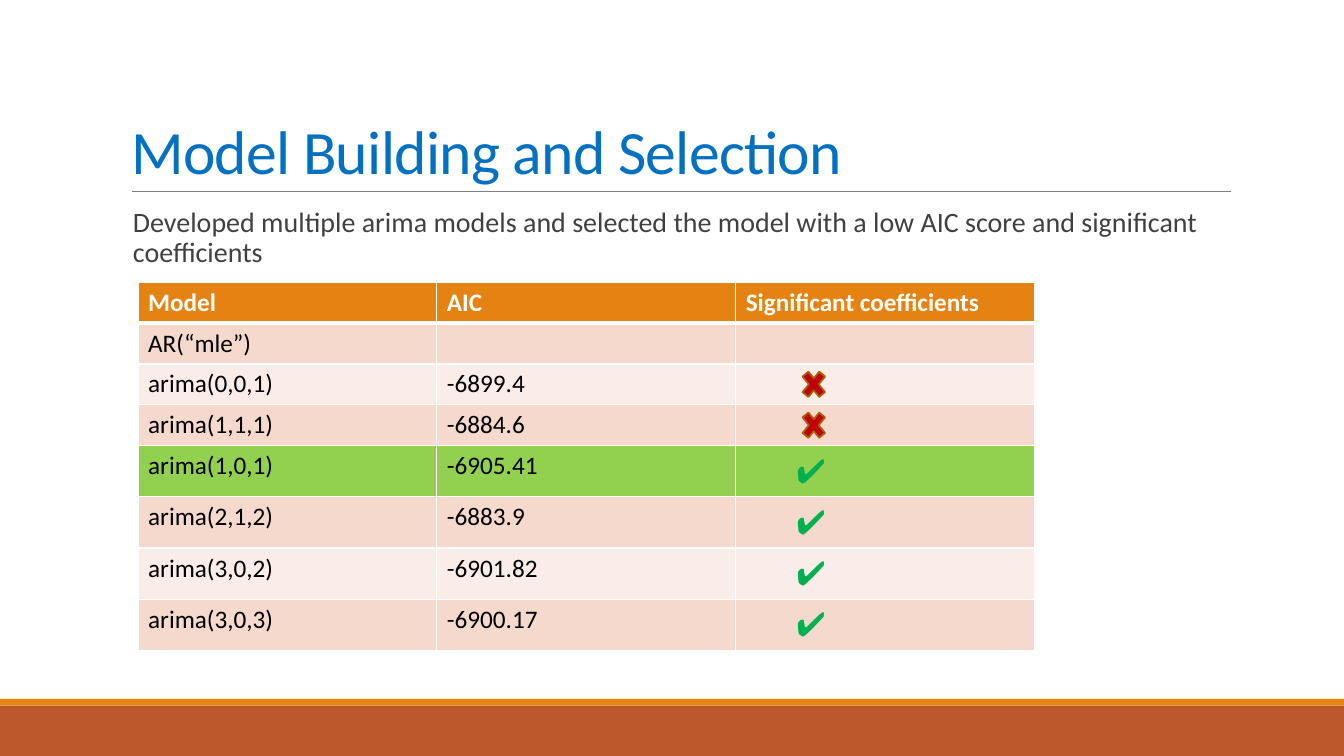
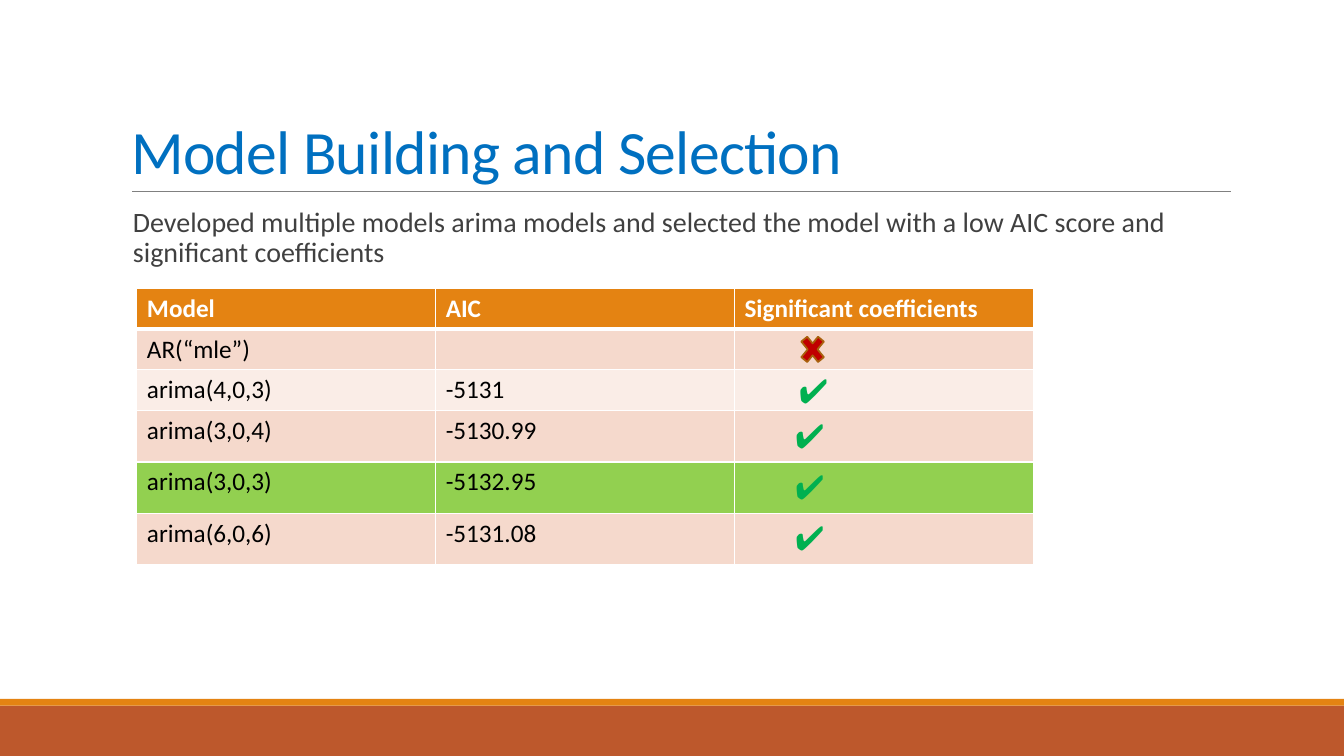
from lxml import etree
from pptx import Presentation
from pptx import util as u
from pptx.dml.color import RGBColor
from pptx.enum import shapes, text
from pptx.oxml import ns

Cm, Pt = u.Cm, u.Pt

WHITE = RGBColor(0xFF, 0xFF, 0xFF)
BLACK = RGBColor(0x00, 0x00, 0x00)
BLUE = RGBColor(0x00, 0x70, 0xC0)
RUST = RGBColor(0xBD, 0x58, 0x2C)
ORANGE = RGBColor(0xE4, 0x83, 0x12)
BROWN = RGBColor(0xA9, 0x61, 0x0D)
GREY = RGBColor(0x80, 0x80, 0x80)
DARK = RGBColor(0x40, 0x40, 0x40)
BAND_ROWS = (RGBColor(0xFA, 0xED, 0xE7), RGBColor(0xF5, 0xD9, 0xCC))
CHOSEN = RGBColor(0x92, 0xD0, 0x50)
GREEN = RGBColor(0x00, 0xB0, 0x50)
RED = RGBColor(0xC0, 0x00, 0x00)

FONT, MARK_FONT = "Calibri", "Cabin"
CHECK, CROSS, LOOSE_CHECK = "check", "cross", "loose check"
TITLE = "Model Building and Selection"
HEADER = ("Model", "AIC", "Significant coefficients")

SLIDES = [
    {
        "intro": "Developed multiple arima models and selected the model "
                 "with a low AIC score and significant coefficients",
        "corner": (3.48, 7.11),
        "chosen": "arima(1,0,1)",
        "models": [
            ("AR(“mle”)", "", ""),
            ("arima(0,0,1)", "-6899.4", CROSS),
            ("arima(1,1,1)", "-6884.6", CROSS),
            ("arima(1,0,1)", "-6905.41", CHECK),
            ("arima(2,1,2)", "-6883.9", CHECK),
            ("arima(3,0,2)", "-6901.82", CHECK),
            ("arima(3,0,3)", "-6900.17", CHECK),
        ],
    },
    {
        "intro": "Developed multiple models arima models and selected the model "
                 "with a low AIC score and significant coefficients",
        "corner": (3.45, 7.26),
        "chosen": "arima(3,0,3)",
        "models": [
            ("AR(“mle”)", "", CROSS),
            ("arima(4,0,3)", "-5131", LOOSE_CHECK),
            ("arima(3,0,4)", "-5130.99", CHECK),
            ("arima(3,0,3)", "-5132.95", CHECK),
            ("arima(6,0,6)", "-5131.08", CHECK),
        ],
    },
]

WIDTH, HEIGHT = 33.87, 19.05
BANDS = [(17.78, 1.27, RUST), (17.61, 0.17, ORANGE)]
RULE_Y, RULE_LEFT, RULE_RIGHT = 4.83, 3.33, 31.01
TEXT_LEFT, TEXT_WIDTH = 3.05, 27.94
COLUMN, ROW, TALL_ROW = 7.53, 1.03, 1.29
MARK_CENTRE = 17.04
CROSS_WIDTH, CROSS_HEIGHT = 0.81, 0.99
CHECK_WIDTH, CHECK_HEIGHT = 1.19, 1.27


def style(para, size, color, font=FONT, bold=False):
    para.font.size = Pt(size)
    para.font.name = font
    para.font.color.rgb = color
    para.font.bold = bold


def add_block(page, kind, left, top, width, height, fill):
    block = page.shapes.add_shape(kind, Cm(left), Cm(top), Cm(width), Cm(height))
    block.shadow.inherit = False
    block.fill.solid()
    block.fill.fore_color.rgb = fill
    block.line.fill.background()
    return block


def add_frame(page):
    for top, height, color in BANDS:
        add_block(page, shapes.MSO_SHAPE.RECTANGLE, 0, top, WIDTH, height, color)
    rule = page.shapes.add_connector(
        shapes.MSO_CONNECTOR.STRAIGHT,
        Cm(RULE_LEFT), Cm(RULE_Y), Cm(RULE_RIGHT), Cm(RULE_Y))
    rule.line.color.rgb = GREY
    rule.line.width = Pt(0.5)
    etree.SubElement(rule._element.spPr, ns.qn("a:effectLst"))


def format_title(page):
    title = page.shapes.title
    title.left, title.top = Cm(TEXT_LEFT), Cm(0.79)
    title.width, title.height = Cm(TEXT_WIDTH), Cm(4.04)
    frame = title.text_frame
    frame.text = TITLE
    frame.auto_size = text.MSO_AUTO_SIZE.NONE
    frame.vertical_anchor = text.MSO_ANCHOR.BOTTOM
    para = frame.paragraphs[0]
    para.alignment = text.PP_ALIGN.LEFT
    para.line_spacing = 0.85
    style(para, 44, BLUE)
    para.runs[0]._r.get_or_add_rPr().set("spc", "-50")


def add_intro(page, words):
    box = page.shapes.add_textbox(Cm(TEXT_LEFT), Cm(5.13), Cm(TEXT_WIDTH), Cm(11.18))
    frame = box.text_frame
    frame.word_wrap = True
    frame.margin_left, frame.margin_right = Cm(0.3), 0
    para = frame.paragraphs[0]
    para.text = words
    para.line_spacing = 0.9
    para.space_before, para.space_after = Pt(12), Pt(2)
    style(para, 20, DARK)


def add_borders(cell, top, bottom):
    props = cell._tc.get_or_add_tcPr()
    for side, width in (("L", 1), ("R", 1), ("T", top), ("B", bottom)):
        line = etree.SubElement(props, ns.qn("a:ln" + side), w=str(Pt(width)))
        fill = etree.SubElement(line, ns.qn("a:solidFill"))
        etree.SubElement(fill, ns.qn("a:srgbClr"), val=str(WHITE))


def add_cross(page, centre, middle):
    cross = add_block(
        page, shapes.MSO_SHAPE.MATH_MULTIPLY,
        centre - CROSS_WIDTH / 2, middle - CROSS_HEIGHT / 2,
        CROSS_WIDTH, CROSS_HEIGHT, RED)
    cross.line.color.rgb = BROWN
    cross.line.width = Pt(1.25)


def add_loose_check(page, centre, middle):
    box = page.shapes.add_textbox(
        Cm(centre - CHECK_WIDTH / 2), Cm(middle - CHECK_HEIGHT / 2),
        Cm(CHECK_WIDTH), Cm(CHECK_HEIGHT))
    para = box.text_frame.paragraphs[0]
    para.text = "✔"
    style(para, 24, GREEN, MARK_FONT)


def fill_cell(cell, words, fill, heading, first):
    add_borders(cell, 3 if first else 1, 3 if heading else 1)
    cell.fill.solid()
    cell.fill.fore_color.rgb = fill
    para = cell.text_frame.paragraphs[0]
    if words == CHECK:
        cell.margin_left = Cm(1.53)
        para.text = "✔"
        style(para, 24, GREEN, MARK_FONT)
    else:
        para.text = "" if words in (CROSS, LOOSE_CHECK) else words
        style(para, 18, WHITE if heading else BLACK, bold=heading)


def add_models(page, content):
    left, top = content["corner"]
    rows = [HEADER] + content["models"]
    heights = [TALL_ROW if row[2] == CHECK else ROW for row in rows]
    table = page.shapes.add_table(
        len(rows), len(HEADER), Cm(left), Cm(top),
        Cm(COLUMN * len(HEADER)), Cm(sum(heights))).table
    table.horz_banding = False
    for column in table.columns:
        column.width = Cm(COLUMN)
    floating = {CROSS: add_cross, LOOSE_CHECK: add_loose_check}
    for index, (row, height) in enumerate(zip(rows, heights)):
        table.rows[index].height = Cm(height)
        if index == 0:
            fill = ORANGE
        elif row[0] == content["chosen"]:
            fill = CHOSEN
        else:
            fill = BAND_ROWS[index % 2]
        for column, words in enumerate(row):
            fill_cell(table.cell(index, column), words, fill, index == 0, index == 1)
        if row[2] in floating:
            floating[row[2]](page, left + MARK_CENTRE - 0.01, top + height / 2)
        top += height


def main():
    deck = Presentation()
    deck.slide_width, deck.slide_height = Cm(WIDTH), Cm(HEIGHT)
    for content in SLIDES:
        page = deck.slides.add_slide(deck.slide_layouts[5])
        add_frame(page)
        format_title(page)
        add_intro(page, content["intro"])
        add_models(page, content)
    deck.save("out.pptx")


if __name__ == "__main__":
    main()
